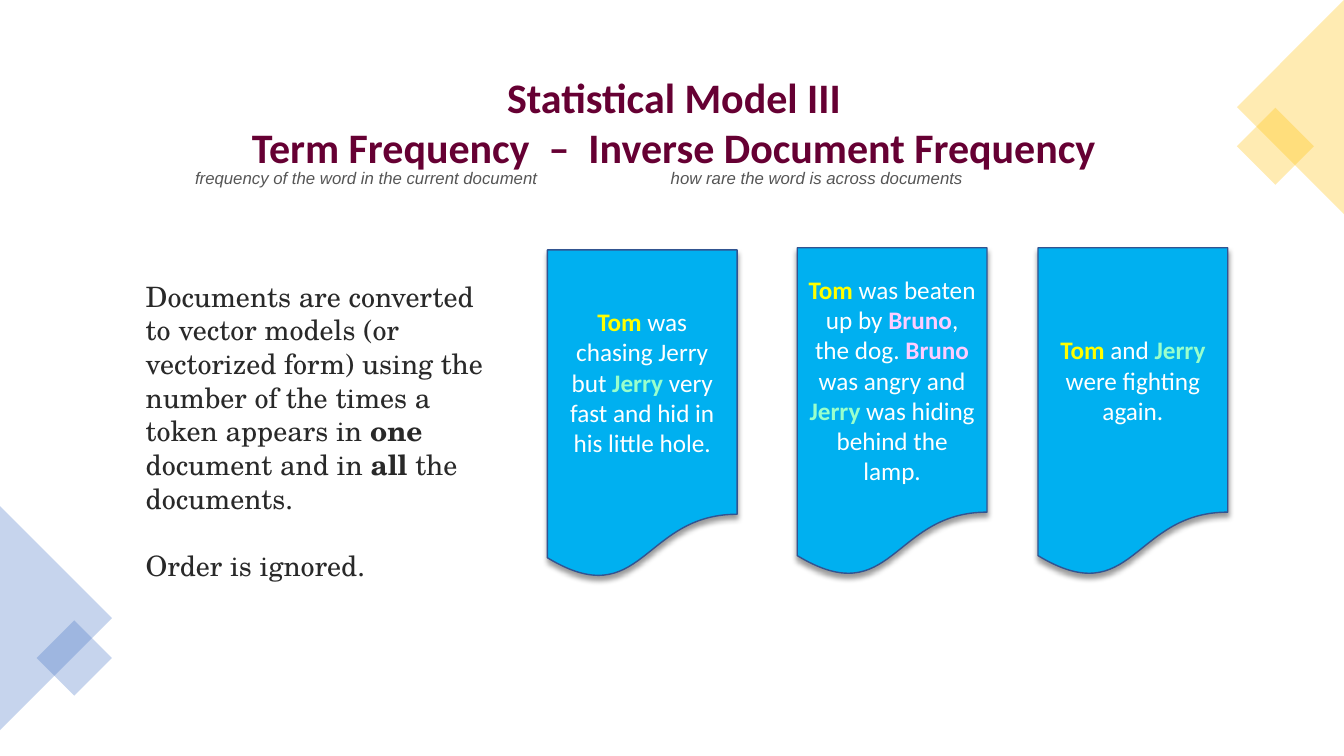
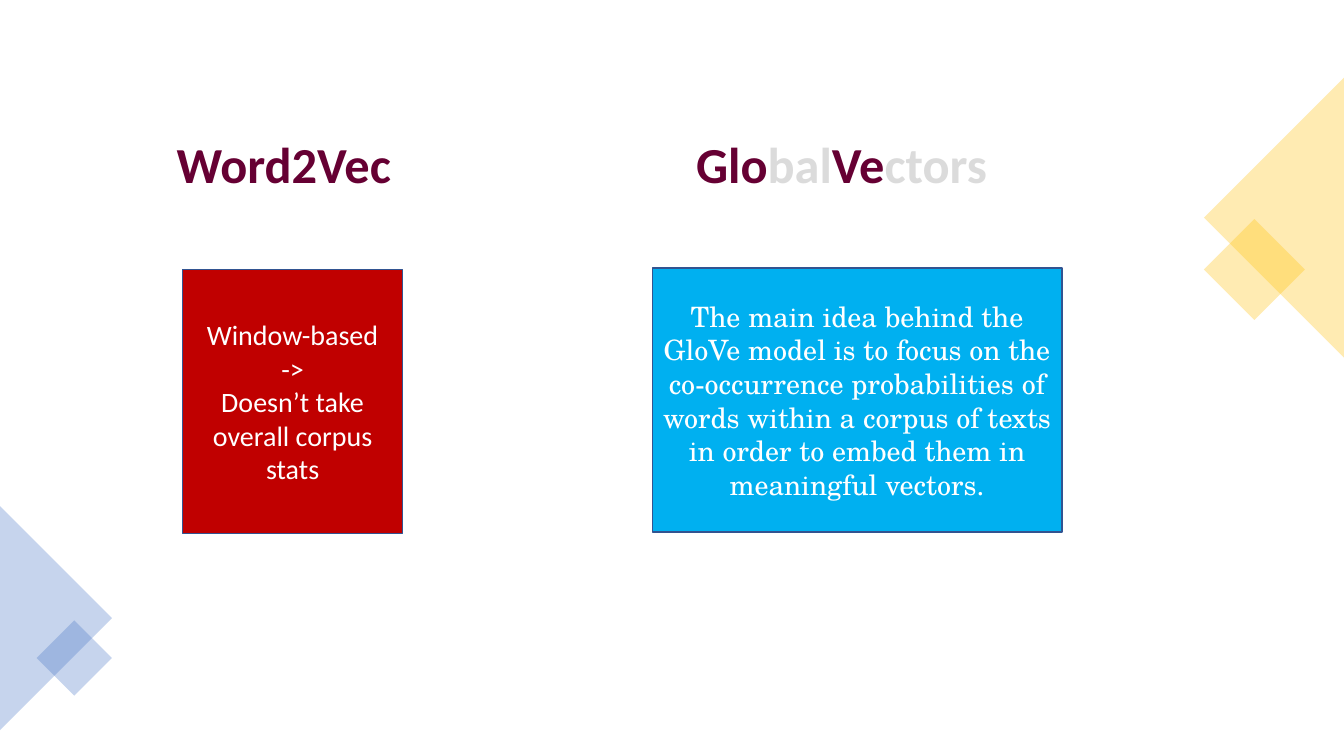
from lxml import etree
from pptx import Presentation
from pptx.dml.color import RGBColor
from pptx.enum import shapes, text
from pptx.oxml import ns
from pptx.util import Pt

SLIDE_W, SLIDE_H = 960, 540
WINE, GREY, INK, CAPTION = "660033", "DBDBDB", "292929", "555555"
SKY, RED, OUTLINE, WHITE = "00B0F0", "C00000", "325491", "FFFFFF"
BLUE, GOLD = "4472C4", "FFC000"
SANS, SERIF, CAPTION_FONT = "Calibri", "TeX Gyre Schola", "Arial"
LEFT, CENTER = text.PP_ALIGN.LEFT, text.PP_ALIGN.CENTER
TOP, MIDDLE = text.MSO_ANCHOR.TOP, text.MSO_ANCHOR.MIDDLE

# Content: a paragraph is a list of runs, a run is a string or (string, format)
BOLD = {"bold": True}
TOM = ("Tom", {"bold": True, "colour": "FFFF00"})
JERRY = ("Jerry", {"bold": True, "colour": "99FFCC"})
BRUNO = ("Bruno", {"bold": True, "colour": "FFCCFF"})
FADED = {"colour": GREY}

TFIDF_TITLE = [["Statistical Model III"],
               ["Term Frequency\u00a0 –\u00a0 Inverse Document Frequency".replace("\u00a0", " ")]]
TERM_CAPTIONS = [("frequency of the word in the current document", 124.5, 274.5, CENTER),
                 ("how rare the word is across documents", 472, 480, LEFT)]
EXPLANATION = [
    ["Documents are converted to vector models (or vectorized form) using the "
     "number of the times a token appears in ", ("one", BOLD),
     " document and in ", ("all", BOLD), " the documents."],
    ["Order is ignored."]]
DOCUMENTS = [  # left, top, runs
    (391, 178.5, [TOM, " was chasing Jerry but ", JERRY,
                  " very fast and hid in his little hole."]),
    (569.5, 177, [TOM, " was beaten up by ", BRUNO, ", the dog. ", BRUNO,
                  " was angry and ", JERRY, " was hiding behind the lamp."]),
    (741.5, 177, [TOM, " and ", JERRY, " were fighting again."])]

MODELS_TITLE = [["Word2Vec\tGlo", ("bal", FADED), "Ve", ("ctors", FADED)]]
MODEL_CARDS = [  # left, top, width, fill, font, paragraphs
    (130.5, 192.5, 157, RED, SANS,
     [["Window-based"], ["->"], ["Doesn’t take overall corpus stats"]]),
    (466, 191.5, 292.5, SKY, SERIF,
     [["The main idea behind the GloVe model is to focus on the co-occurrence "
       "probabilities of words within a corpus of texts in order to embed them "
       "in meaningful vectors."]])]

# Corner ornaments: colour, touches right edge, depth, middle y, diamond centre, diamond side
BLUE_CORNER = (BLUE, False, 80, 441.5, (53, 470), 38)
SMALL_GOLD_CORNER = (GOLD, True, 76.5, 76.5, (911, 104.5), 39)
LARGE_GOLD_CORNER = (GOLD, True, 100, 155.5, (896, 192.5), 51)


def rgb(colour):
    return RGBColor.from_string(colour)


def add_xml(parent, tag, **attributes):
    return etree.SubElement(parent, ns.qn(tag), {k: str(v) for k, v in attributes.items()})


def write(shape, paragraphs, size=20, font=SANS, colour=WHITE, bold=False, italic=False,
          align=CENTER, anchor=MIDDLE, gap=0):
    frame = shape.text_frame
    frame.word_wrap = True
    frame.auto_size = text.MSO_AUTO_SIZE.NONE
    frame.vertical_anchor = anchor
    for i, runs in enumerate(paragraphs):
        paragraph = frame.add_paragraph() if i else frame.paragraphs[0]
        paragraph.alignment, paragraph.line_spacing = align, 1.0
        paragraph.space_before = Pt(gap if i else 0)
        for item in runs:
            words, special = (item, {}) if isinstance(item, str) else item
            run = paragraph.add_run()
            run.text = words
            run.font.name, run.font.size = font, Pt(size)
            run.font.bold = special.get("bold", bold)
            run.font.italic = italic
            run.font.color.rgb = rgb(special.get("colour", colour))
    return shape


def place(shape, left, top, width, height):
    shape.left, shape.top, shape.width, shape.height = map(Pt, (left, top, width, height))
    return shape


def add_shape(slide, kind, left, top, width, height, fill, outline=None, alpha=None, rotation=0):
    shape = slide.shapes.add_shape(kind, *map(Pt, (left, top, width, height)))
    shape.shadow.inherit = False
    shape.rotation = rotation
    shape.fill.solid()
    shape.fill.fore_color.rgb = rgb(fill)
    if alpha:
        solid = shape.fill._xPr.find(ns.qn("a:solidFill"))
        add_xml(solid[0], "a:alpha", val=alpha * 1000)
    if outline:
        shape.line.color.rgb = rgb(outline)
        shape.line.width = Pt(1)
    else:
        shape.line.fill.background()
    return shape


def add_text(slide, left, top, width, height, paragraphs, **style):
    box = slide.shapes.add_textbox(*map(Pt, (left, top, width, height)))
    return write(box, paragraphs, anchor=TOP, **style)


def add_corner(slide, colour, on_right, depth, middle, diamond, side):
    centre_x = SLIDE_W - depth / 2 if on_right else depth / 2
    add_shape(slide, shapes.MSO_SHAPE.ISOSCELES_TRIANGLE, centre_x - depth, middle - depth / 2,
              2 * depth, depth, colour, alpha=30, rotation=270 if on_right else 90)
    x, y = diamond
    add_shape(slide, shapes.MSO_SHAPE.RECTANGLE, x - side / 2, y - side / 2, side, side,
              colour, alpha=30, rotation=45)


def add_slide(deck, gold_corner, title, title_box, **style):
    slide = deck.slides.add_slide(deck.slide_layouts[5])
    for corner in (BLUE_CORNER, gold_corner):
        add_corner(slide, *corner)
    write(place(slide.shapes.title, *title_box), title, colour=WINE, bold=True, **style)
    return slide


def add_drop_shadow(shape):
    effects = shape._element.spPr.find(ns.qn("a:effectLst"))
    shadow = add_xml(effects, "a:outerShdw", blurRad=Pt(4), dist=Pt(3), dir=90 * 60000,
                     rotWithShape=0)
    add_xml(add_xml(shadow, "a:srgbClr", val="000000"), "a:alpha", val=40000)


def build_tfidf(deck):
    slide = add_slide(deck, SMALL_GOLD_CORNER, TFIDF_TITLE, (52, 42, 859, 89.5), size=30)
    add_text(slide, 97, 196, 257, 201, EXPLANATION, font=SERIF, colour=INK, align=LEFT, gap=24)
    for left, top, runs in DOCUMENTS:
        page = add_shape(slide, shapes.MSO_SHAPE.FLOWCHART_DOCUMENT, left, top, 135.5, 235.5,
                         SKY, OUTLINE)
        add_drop_shadow(page)
        write(page, [runs], size=18)
    for caption, left, width, align in TERM_CAPTIONS:
        add_text(slide, left, 116.5, width, 22, [[caption]], size=12, font=CAPTION_FONT,
                 colour=CAPTION, italic=True, align=align)


def build_models(deck):
    slide = add_slide(deck, LARGE_GOLD_CORNER, MODELS_TITLE, (119, 72, 720, 89.5),
                      size=36, align=LEFT)
    # A tab stop sets the second heading over the second card
    properties = slide.shapes.title.text_frame.paragraphs[0]._p.get_or_add_pPr()
    add_xml(add_xml(properties, "a:tabLst"), "a:tab", pos=Pt(371), algn="l")
    for left, top, width, fill, font, paragraphs in MODEL_CARDS:
        card = add_shape(slide, shapes.MSO_SHAPE.RECTANGLE, left, top, width, 188.5, fill, OUTLINE)
        write(card, paragraphs, font=font)


def main():
    deck = Presentation()
    deck.slide_width, deck.slide_height = Pt(SLIDE_W), Pt(SLIDE_H)
    build_tfidf(deck)
    build_models(deck)
    deck.save("out.pptx")


if __name__ == "__main__":
    main()
